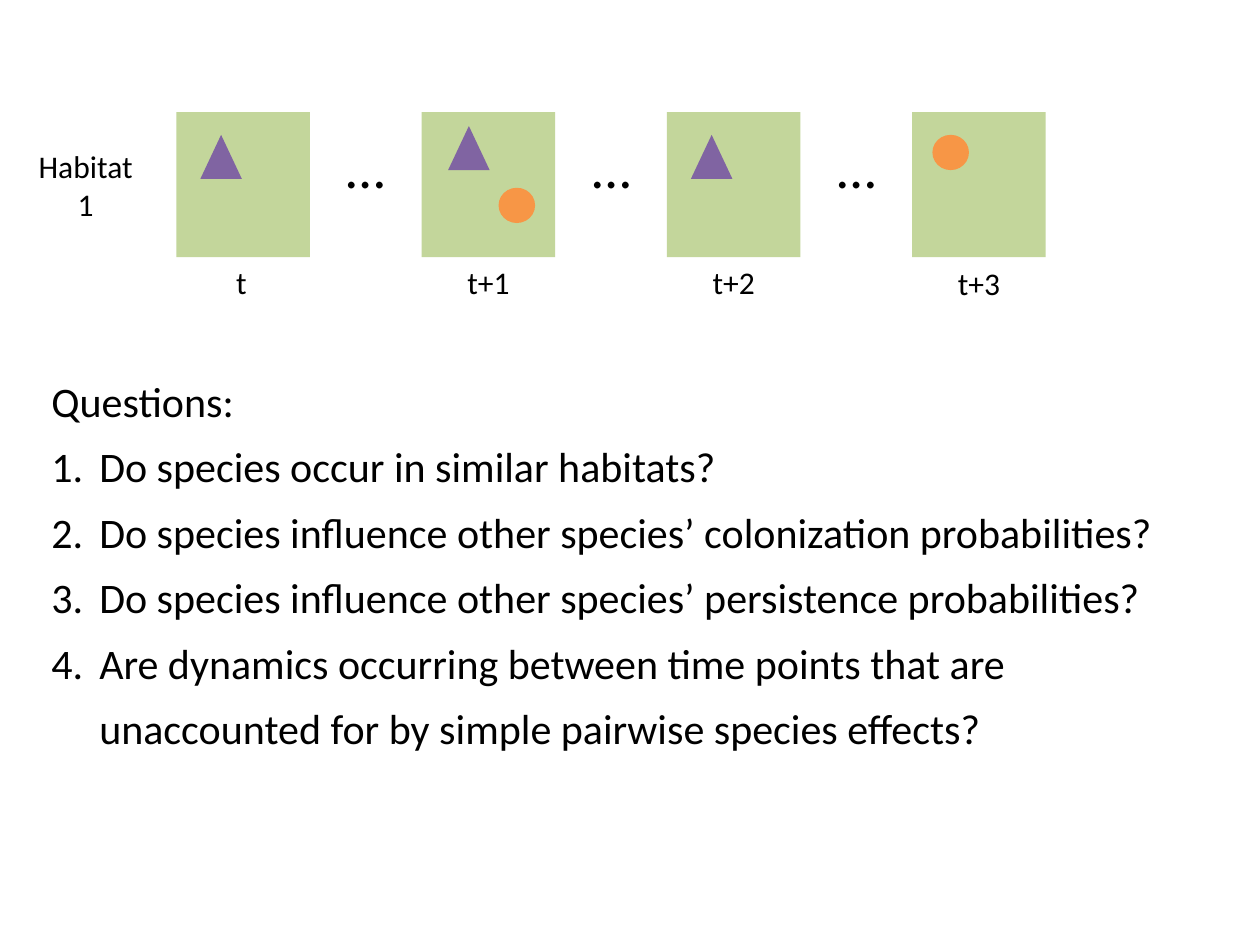
from pptx import Presentation
from pptx.dml.color import RGBColor
from pptx.enum.shapes import MSO_SHAPE
from pptx.enum.text import MSO_ANCHOR, PP_ALIGN
from pptx.oxml.xmlchemy import OxmlElement
from pptx.util import Inches, Pt

MARKS = {
    "triangle": (MSO_SHAPE.ISOSCELES_TRIANGLE, 0.33, 0.35, "8064A2"),
    "circle": (MSO_SHAPE.OVAL, 0.29, 0.28, "F79646"),
}
HABITATS = [
    (("t", 0.37, 1.15, 0.29), [("triangle", 0.19, 0.18)]),
    (("t+1", 0.26, 1.15, 0.54), [("triangle", 0.21, 0.11), ("circle", 0.61, 0.6)]),
    (("t+2", 0.26, 1.15, 0.54), [("triangle", 0.19, 0.18)]),
    (("t+3", 0.26, 1.16, 0.54), [("circle", 0.16, 0.18)]),
]
QUESTIONS = [
    "Do species occur in similar habitats?",
    "Do species influence other species’ colonization probabilities?",
    "Do species influence other species’ persistence probabilities?",
    "Are dynamics occurring between time points that are unaccounted for by "
    "simple pairwise species effects?",
]


def color(value):
    """Turn a hex string into a colour."""
    return RGBColor.from_string(value)


def add_text(s, box, lines, size, wrap=False, **fmt):
    """Place a text box with one paragraph per line and return its paragraphs."""
    tf = s.shapes.add_textbox(*map(Inches, box)).text_frame
    tf.word_wrap = wrap
    tf.vertical_anchor = fmt.pop("anchor", MSO_ANCHOR.TOP)
    for i, line in enumerate(lines):
        p = tf.paragraphs[0] if i == 0 else tf.add_paragraph()
        for name, value in fmt.items():
            setattr(p, name, value)
        r = p.add_run()
        r.text = line
        for name, value in {"name": "Calibri", "size": Pt(size)}.items():
            setattr(r.font, name, value)
        r.font.color.rgb = color("000000")
    return tf.paragraphs


def add_filled(s, kind, box, fill):
    """Place a plain filled shape without line or shadow."""
    sp = s.shapes.add_shape(kind, *map(Inches, box))
    sp.shadow.inherit = False
    sp.fill.solid()
    sp.fill.fore_color.rgb = color(fill)
    sp.line.fill.background()


def add_habitat(s, box, label, marks):
    """Draw one habitat square with its species marks and time label."""
    x, y, _, _ = box
    add_filled(s, MSO_SHAPE.RECTANGLE, box, "C3D69B")
    for name, dx, dy in marks:
        kind, w, h, fill = MARKS[name]
        add_filled(s, kind, (x + dx, y + dy, w, h), fill)
    text, dx, dy, w = label
    add_text(s, (x + dx, y + dy, w, 0.4), [text], 18, alignment=PP_ALIGN.CENTER)


def add_timeline(s, box):
    """Draw the row label, the habitats and the dots between them."""
    x, y, width, h = box
    first, w = x + 1.2, 1.06
    step = (x + width - w - first) / (len(HABITATS) - 1)
    add_text(s, (x, y + 0.23, 0.96, 0.71), ["Habitat", "1"], 18,
             alignment=PP_ALIGN.CENTER)
    for i, (label, marks) in enumerate(HABITATS):
        left = first + i * step
        add_habitat(s, (left, y, w, h), label, marks)
        if i < len(HABITATS) - 1:
            add_text(s, (left + 1.25, y + 0.11, 0.51, 0.64), ["…"], 32,
                     alignment=PP_ALIGN.CENTER, anchor=MSO_ANCHOR.MIDDLE)


def add_questions(s, box):
    """Write the heading and the numbered questions."""
    paragraphs = add_text(s, box, ["Questions:", *QUESTIONS], 24, wrap=True,
                          line_spacing=1.3)
    for p in paragraphs[1:]:
        pPr = p._p.get_or_add_pPr()
        for name, value in {"marL": 0.38, "indent": -0.38}.items():
            pPr.set(name, str(Inches(value)))
        number = OxmlElement("a:buAutoNum")
        number.set("type", "arabicPeriod")
        pPr.append(number)


def main():
    """Build and save the slide."""
    prs = Presentation()
    prs.slide_width, prs.slide_height = Inches(10), Inches(7.5)
    s = prs.slides.add_slide(prs.slide_layouts[6])
    add_timeline(s, (0.2, 0.89, 8.1, 1.15))
    add_questions(s, (0.31, 2.81, 9.17, 3.23))
    prs.save("out.pptx")


if __name__ == "__main__":
    main()
